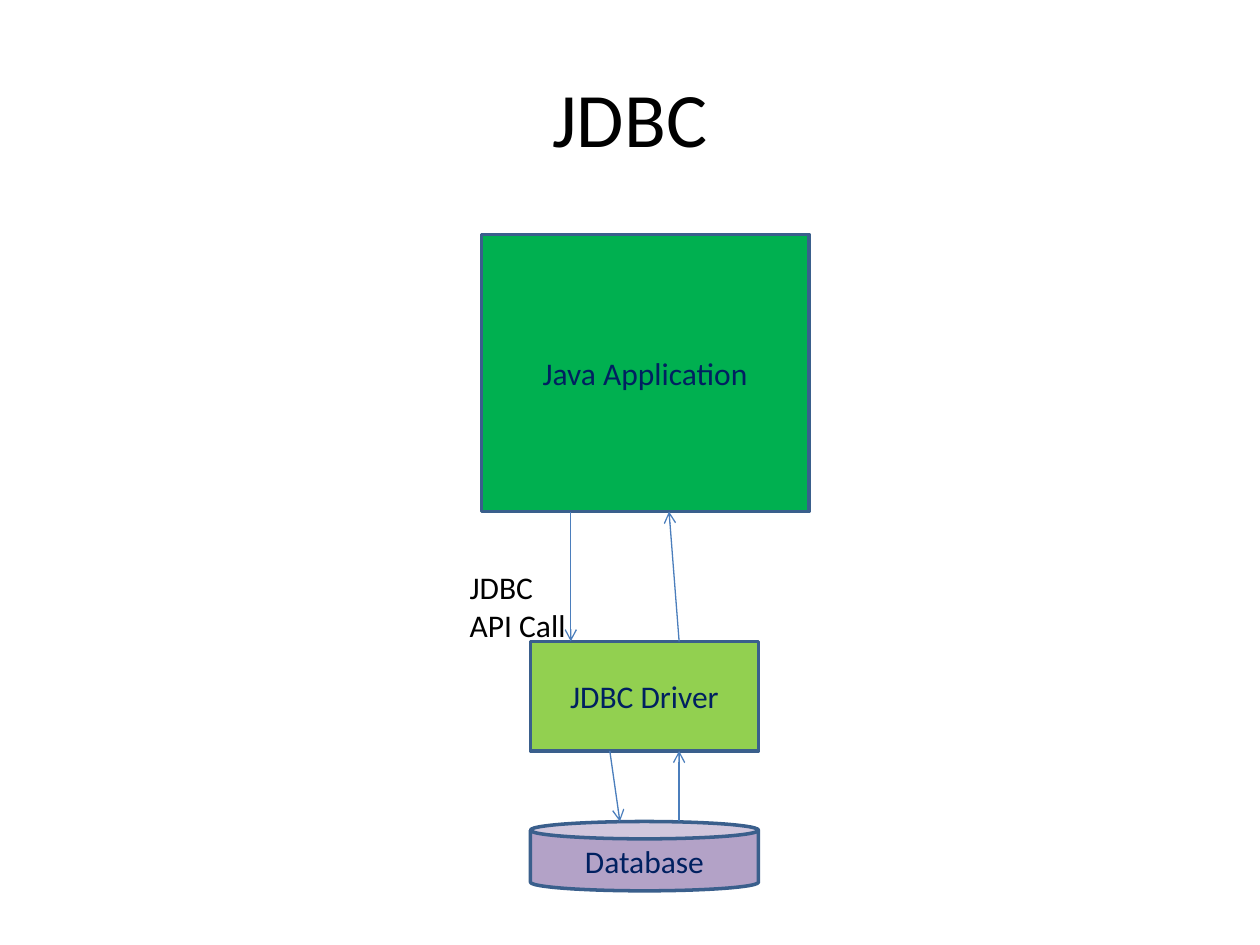
from dataclasses import dataclass

from pptx import Presentation
from pptx.dml.color import RGBColor
from pptx.enum.shapes import MSO_CONNECTOR, MSO_SHAPE
from pptx.enum.text import MSO_ANCHOR, PP_ALIGN
from pptx.oxml.ns import qn
from pptx.util import Emu, Inches, Pt
from lxml.etree import SubElement

BLACK = RGBColor(0x00, 0x00, 0x00)
NAVY = RGBColor(0x00, 0x20, 0x60)
GREEN = RGBColor(0x00, 0xB0, 0x50)
LIME = RGBColor(0x92, 0xD0, 0x50)
PURPLE = RGBColor(0xB3, 0xA2, 0xC7)
OUTLINE = RGBColor(0x3A, 0x5F, 0x8C)
ARROW_BLUE = RGBColor(0x4B, 0x7E, 0xBC)
FONT = "Calibri"

# The slide is a grid of 100 columns by 75 rows
CELL = Inches(0.1)


@dataclass(frozen=True)
class Layer:
    """One tier of the stack, measured in grid columns and rows."""
    label: str
    kind: MSO_SHAPE
    fill: RGBColor
    left: float
    top: float
    width: float
    height: float

    @property
    def bottom(self) -> float:
        return self.top + self.height


@dataclass(frozen=True)
class Call:
    """An arrow between two tiers, from column to column."""
    start_column: float
    start_row: float
    end_column: float
    end_row: float


def grid(*cells: float) -> list[Emu]:
    return [Emu(round(cell * CELL)) for cell in cells]


def write(shape, text: str, *, size: float = 18, color: RGBColor = BLACK,
          align=PP_ALIGN.LEFT, anchor=MSO_ANCHOR.TOP) -> None:
    frame = shape.text_frame
    frame.word_wrap = True
    frame.vertical_anchor = anchor
    paragraph = frame.paragraphs[0]
    paragraph.alignment = align
    run = paragraph.add_run()
    run.text = text
    run.font.name = FONT
    run.font.size = Pt(size)
    run.font.color.rgb = color


def draw_layer(slide, layer: Layer) -> None:
    shape = slide.shapes.add_shape(
        layer.kind, *grid(layer.left, layer.top, layer.width, layer.height))
    shape.shadow.inherit = False
    shape.fill.solid()
    shape.fill.fore_color.rgb = layer.fill
    shape.line.color.rgb = OUTLINE
    shape.line.width = Pt(2)
    write(shape, layer.label, color=NAVY, align=PP_ALIGN.CENTER,
          anchor=MSO_ANCHOR.MIDDLE)


def draw_call(slide, call: Call) -> None:
    connector = slide.shapes.add_connector(
        MSO_CONNECTOR.STRAIGHT,
        *grid(call.start_column, call.start_row, call.end_column, call.end_row))
    connector.line.color.rgb = ARROW_BLUE
    connector.line.width = Pt(0.75)
    properties = connector.line._get_or_add_ln()
    SubElement(properties, qn("a:tailEnd"), type="arrow")
    SubElement(connector._element.spPr, qn("a:effectLst"))


def main() -> None:
    presentation = Presentation()
    presentation.slide_width, presentation.slide_height = grid(100, 75)
    slide = presentation.slides.add_slide(presentation.slide_layouts[5])

    # Title
    title = slide.shapes.title
    title.left, title.top, title.width, title.height = grid(5, 3, 90, 12.5)
    write(title, "JDBC", size=44, align=PP_ALIGN.CENTER,
          anchor=MSO_ANCHOR.MIDDLE)

    # Tiers, from application down to storage
    application = Layer("Java Application", MSO_SHAPE.RECTANGLE, GREEN,
                        38.2, 18.6, 26, 22)
    driver = Layer("JDBC Driver", MSO_SHAPE.RECTANGLE, LIME,
                   42.1, 50.9, 18.1, 8.7)
    database = Layer("Database", MSO_SHAPE.CAN, PURPLE,
                     42.1, 65.2, 18.1, 5.5)
    for layer in (application, driver, database):
        draw_layer(slide, layer)

    # Requests go down, answers come back up
    for call in (
        Call(45.3, application.bottom, 45.3, driver.top),
        Call(53.9, driver.top, 53.1, application.bottom),
        Call(48.4, driver.bottom, 49.2, database.top),
        Call(53.9, database.top, 53.9, driver.bottom),
    ):
        draw_call(slide, call)

    # Label of the request arrow
    label = slide.shapes.add_textbox(*grid(36.3, 44.6, 10.6, 7.1))
    write(label, "JDBC API Call")

    presentation.save("out.pptx")


if __name__ == "__main__":
    main()
